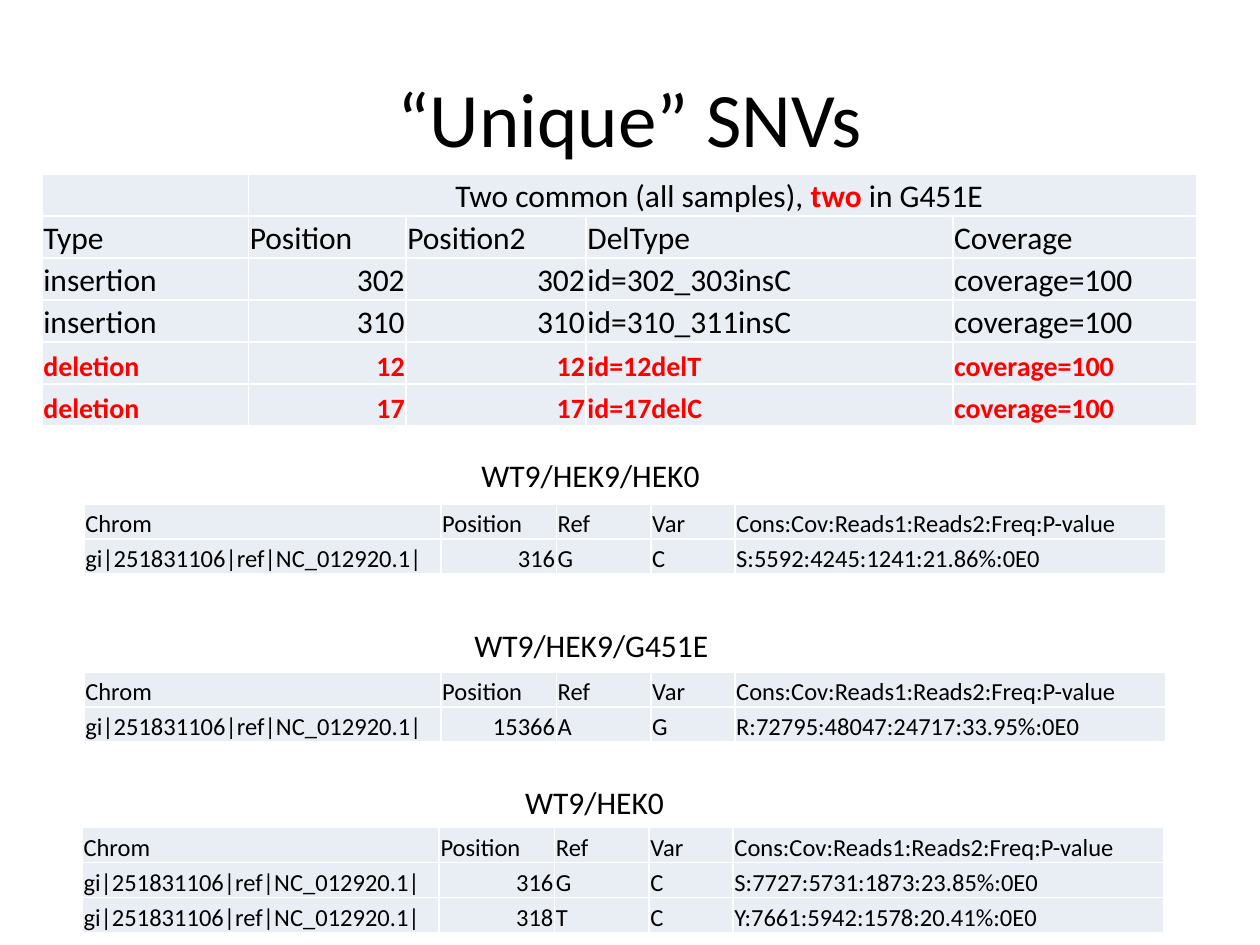
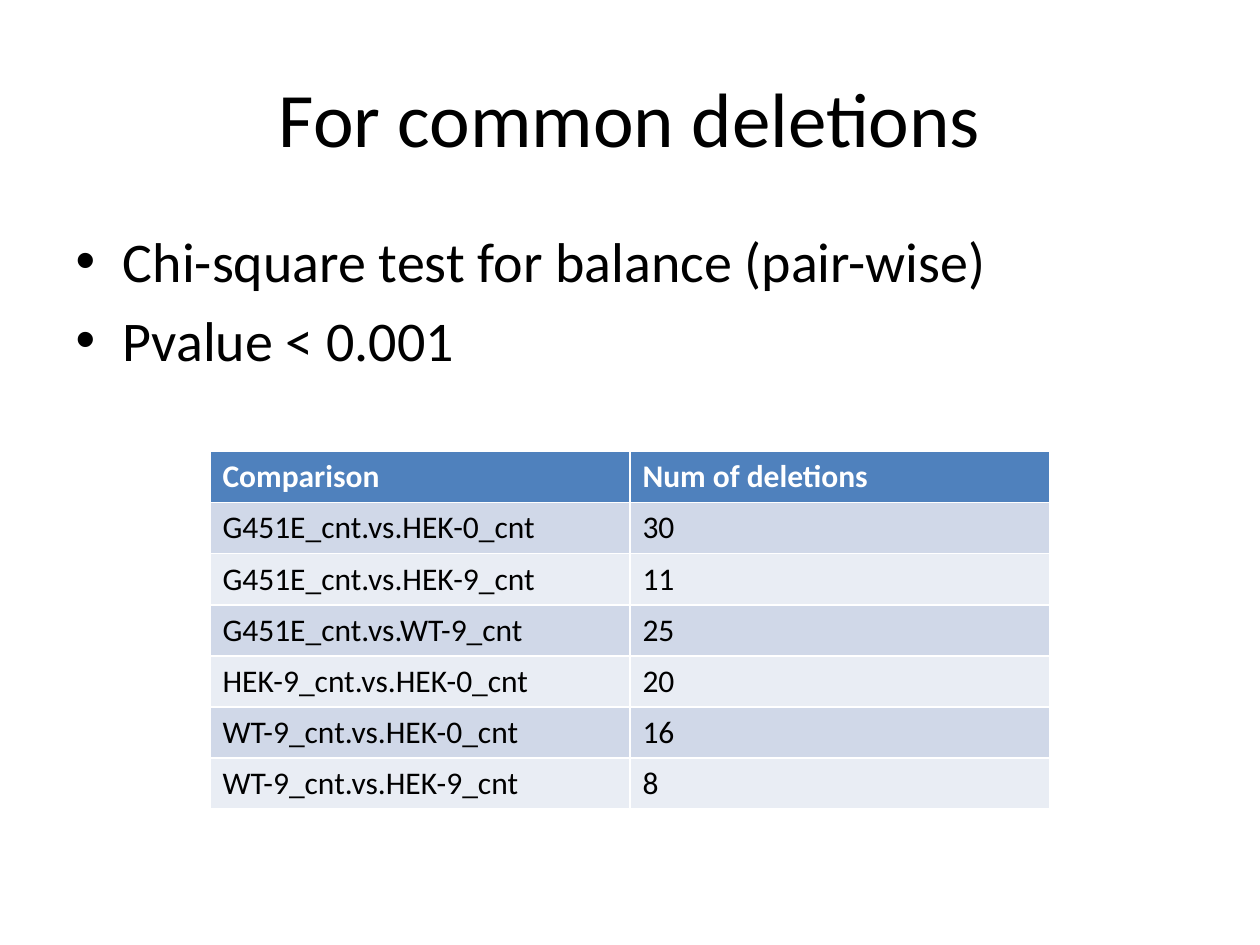
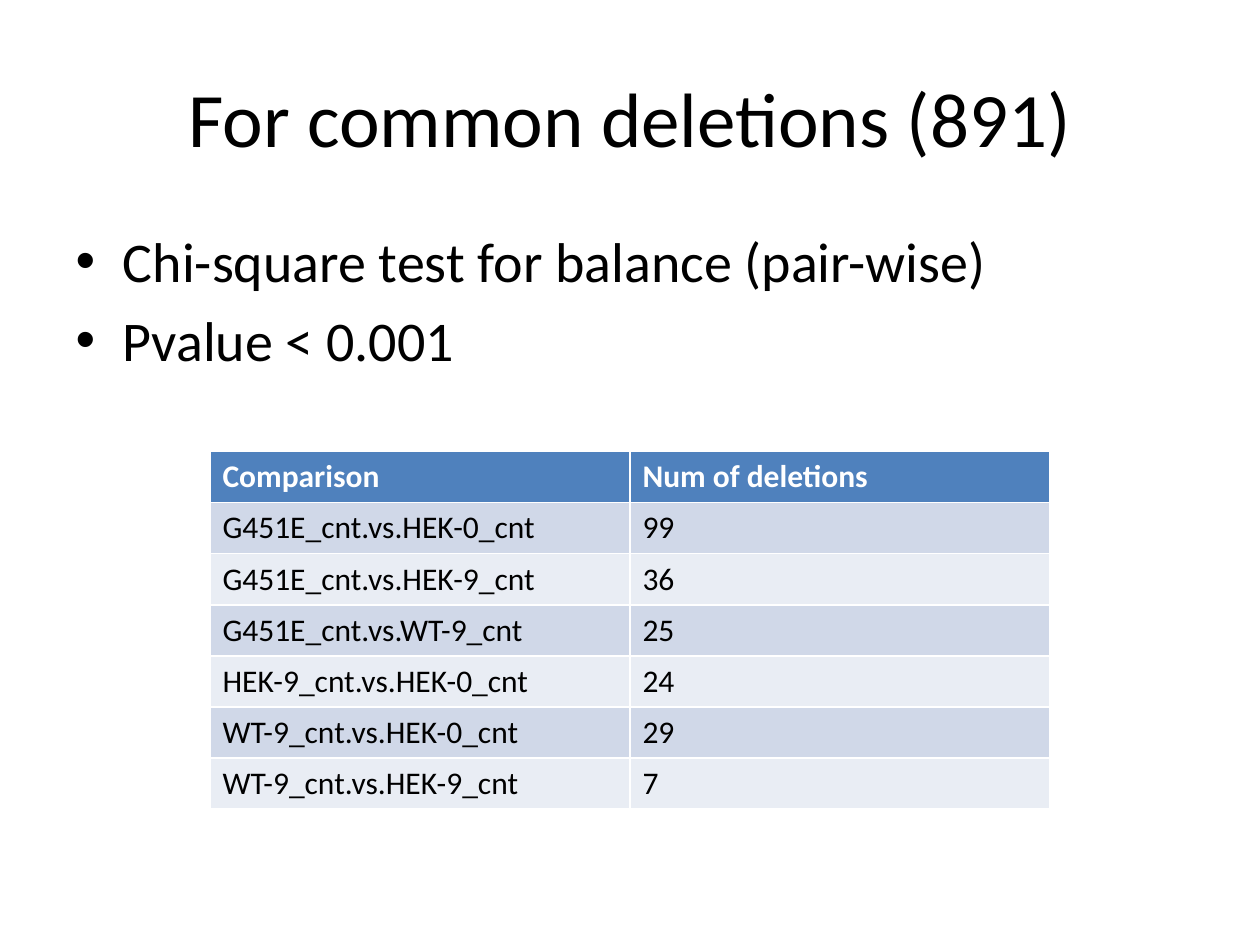
from dataclasses import dataclass

from pptx import Presentation
from pptx.dml.color import RGBColor
from pptx.enum import text
from pptx.util import Pt

FONT = "Calibri"
BLACK = RGBColor(0x00, 0x00, 0x00)
WHITE = RGBColor(0xFF, 0xFF, 0xFF)
RED = RGBColor(0xFF, 0x00, 0x00)
HEADER_BLUE = RGBColor(0x4F, 0x81, 0xBD)
BAND_DARK = RGBColor(0xD0, 0xD8, 0xE8)
BAND_LIGHT = RGBColor(0xE9, 0xED, 0xF4)

TITLE_CONTENT, TITLE_ONLY = 1, 5
CELL_INSET = Pt(0.75)

SNV_COLUMNS = (118, 90, 103, 209.5, 139.5)
SNV_HEADER = ("Type", "Position", "Position2", "DelType", "Coverage")
SNV_ROWS = (
    ("insertion", "302", "302", "id=302_303insC", "coverage=100"),
    ("insertion", "310", "310", "id=310_311insC", "coverage=100"),
    ("deletion", "12", "12", "id=12delT", "coverage=100"),
    ("deletion", "17", "17", "id=17delC", "coverage=100"),
)

VARIANT_COLUMNS = (204, 66, 54, 48, 246)
VARIANT_HEADER = ("Chrom", "Position", "Ref", "Var", "Cons:Cov:Reads1:Reads2:Freq:P-value")
CHROMOSOME = "gi|251831106|ref|NC_012920.1|"

TESTS = ("Chi-square test for balance (pair-wise)", "Pvalue < 0.001")
COMPARISON_HEADER = ("Comparison", "Num of deletions")
COMPARISONS = (
    "G451E_cnt.vs.HEK-0_cnt",
    "G451E_cnt.vs.HEK-9_cnt",
    "G451E_cnt.vs.WT-9_cnt",
    "HEK-9_cnt.vs.HEK-0_cnt",
    "WT-9_cnt.vs.HEK-0_cnt",
    "WT-9_cnt.vs.HEK-9_cnt",
)


@dataclass(frozen=True)
class VariantGroup:
    caption: str
    caption_left: float
    caption_top: float
    caption_width: float
    table_left: float
    table_top: float
    variants: tuple[tuple[str, str, str, str], ...]


@dataclass(frozen=True)
class DeletionSlide:
    title: str
    counts: tuple[int, ...]


VARIANT_GROUPS = (
    VariantGroup("WT9/HEK9/HEK0", 268, 257, 140, 48, 288,
                 (("316", "G", "C", "S:5592:4245:1241:21.86%:0E0"),)),
    VariantGroup("WT9/HEK0", 293, 444, 95, 47, 473,
                 (("316", "G", "C", "S:7727:5731:1873:23.85%:0E0"),
                  ("318", "T", "C", "Y:7661:5942:1578:20.41%:0E0"))),
    VariantGroup("WT9/HEK9/G451E", 264, 354, 150, 48, 384,
                 (("15366", "A", "G", "R:72795:48047:24717:33.95%:0E0"),)),
)

DELETION_SLIDES = (
    DeletionSlide("For common deletions", (30, 11, 25, 20, 16, 8)),
    DeletionSlide("For common deletions (891)", (99, 36, 25, 24, 29, 7)),
)


def add_run(paragraph, wording: str, size: float, color: RGBColor = BLACK,
            bold: bool = False) -> None:
    run = paragraph.add_run()
    run.text = wording
    run.font.name = FONT
    run.font.size = Pt(size)
    run.font.bold = bold
    run.font.color.rgb = color


def place(shape, left: float, top: float, width: float, height: float) -> None:
    shape.left, shape.top = Pt(left), Pt(top)
    shape.width, shape.height = Pt(width), Pt(height)


def add_titled_slide(presentation, layout: int, title: str):
    slide = presentation.slides.add_slide(presentation.slide_layouts[layout])
    place(slide.shapes.title, 36, 21.6, 648, 90)
    frame = slide.shapes.title.text_frame
    frame.vertical_anchor = text.MSO_ANCHOR.MIDDLE
    frame.paragraphs[0].alignment = text.PP_ALIGN.CENTER
    add_run(frame.paragraphs[0], title, 44)
    return slide


def add_grid(slide, left: float, top: float, columns: tuple[float, ...],
             row_count: int, row_height: float):
    """Add an empty table whose white rules come from the default table style."""
    table = slide.shapes.add_table(row_count, len(columns), Pt(left), Pt(top),
                                   Pt(sum(columns)), Pt(row_height * row_count)).table
    for column, width in zip(table.columns, columns):
        column.width = Pt(width)
    for row in table.rows:
        row.height = Pt(row_height)
    return table


def fill_cell(cell, color: RGBColor) -> None:
    cell.fill.solid()
    cell.fill.fore_color.rgb = color


def make_compact(table) -> None:
    """Give a table one light fill, narrow insets and bottom-aligned text."""
    table.first_row = table.horz_banding = False
    for cell in table.iter_cells():
        fill_cell(cell, BAND_LIGHT)
        cell.vertical_anchor = text.MSO_ANCHOR.BOTTOM
        cell.margin_left = cell.margin_right = cell.margin_top = CELL_INSET
        cell.margin_bottom = 0


def write_row(table, row: int, values: tuple[str, ...], size: float,
              color: RGBColor = BLACK, bold: bool = False) -> None:
    """Write one row, with whole numbers aligned right."""
    for column, value in enumerate(values):
        paragraph = table.cell(row, column).text_frame.paragraphs[0]
        if value.isdigit():
            paragraph.alignment = text.PP_ALIGN.RIGHT
        add_run(paragraph, value, size, color, bold)


def add_snv_table(slide) -> None:
    table = add_grid(slide, 24, 99.5, SNV_COLUMNS, len(SNV_ROWS) + 2, 24)
    make_compact(table)
    heading = table.cell(0, 1)
    heading.merge(table.cell(0, len(SNV_COLUMNS) - 1))
    paragraph = heading.text_frame.paragraphs[0]
    paragraph.alignment = text.PP_ALIGN.CENTER
    add_run(paragraph, "Two common (all samples), ", 18)
    add_run(paragraph, "two", 18, RED, bold=True)
    add_run(paragraph, " in G451E ", 18)
    write_row(table, 1, SNV_HEADER, 18)
    for row, values in enumerate(SNV_ROWS, start=2):
        if values[0] == "deletion":
            write_row(table, row, values, 16, RED, bold=True)
        else:
            write_row(table, row, values, 18)


def add_variant_group(slide, group: VariantGroup) -> None:
    table = add_grid(slide, group.table_left, group.table_top, VARIANT_COLUMNS,
                     len(group.variants) + 1, 20)
    make_compact(table)
    write_row(table, 0, VARIANT_HEADER, 14)
    for row, variant in enumerate(group.variants, start=1):
        write_row(table, row, (CHROMOSOME, *variant), 14)

    caption = slide.shapes.add_textbox(Pt(group.caption_left), Pt(group.caption_top),
                                       Pt(group.caption_width), Pt(29))
    caption.text_frame.word_wrap = False
    caption.text_frame.auto_size = text.MSO_AUTO_SIZE.SHAPE_TO_FIT_TEXT
    add_run(caption.text_frame.paragraphs[0], group.caption, 18)


def add_test_list(slide) -> None:
    body = slide.placeholders[1]
    place(body, 36, 126, 648, 102)
    frame = body.text_frame
    for index, test in enumerate(TESTS):
        paragraph = frame.add_paragraph() if index else frame.paragraphs[0]
        add_run(paragraph, test, 32)


def add_comparison_table(slide, counts: tuple[int, ...]) -> None:
    rows = (COMPARISON_HEADER, *zip(COMPARISONS, map(str, counts)))
    table = add_grid(slide, 120, 258, (240, 240), len(rows), 29.2)
    for row, values in enumerate(rows):
        is_header = row == 0
        fill = HEADER_BLUE if is_header else BAND_DARK if row % 2 else BAND_LIGHT
        for column, value in enumerate(values):
            cell = table.cell(row, column)
            fill_cell(cell, fill)
            add_run(cell.text_frame.paragraphs[0], value, 18,
                    WHITE if is_header else BLACK, bold=is_header)


def main() -> None:
    presentation = Presentation()
    presentation.slide_width, presentation.slide_height = Pt(720), Pt(540)

    snv_slide = add_titled_slide(presentation, TITLE_ONLY, "“Unique” SNVs")
    add_snv_table(snv_slide)
    for group in VARIANT_GROUPS:
        add_variant_group(snv_slide, group)

    for deletions in DELETION_SLIDES:
        slide = add_titled_slide(presentation, TITLE_CONTENT, deletions.title)
        add_test_list(slide)
        add_comparison_table(slide, deletions.counts)

    presentation.save("out.pptx")


if __name__ == "__main__":
    main()
